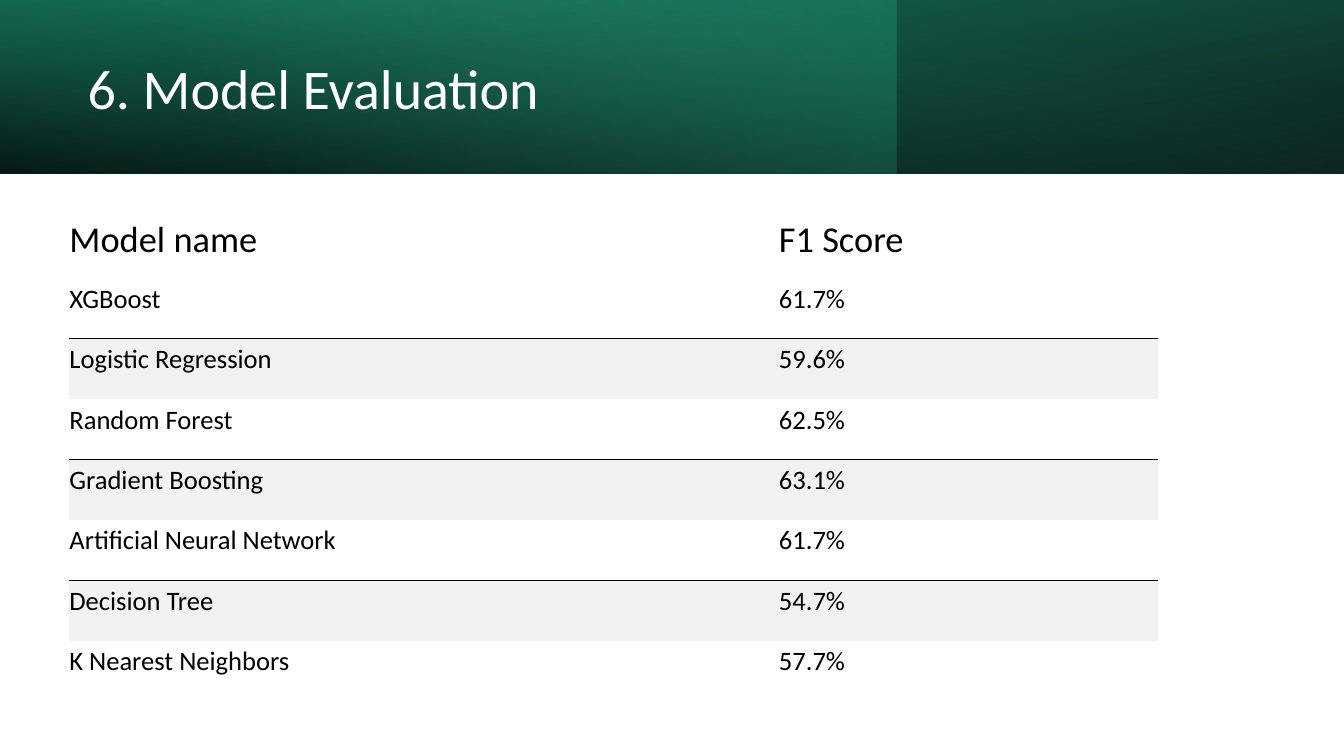
from pptx import Presentation
from pptx.dml.color import RGBColor
from pptx.enum.shapes import MSO_SHAPE
from pptx.enum.text import MSO_ANCHOR
from pptx.oxml import parse_xml
from pptx.oxml.ns import nsdecls
from pptx.util import Cm, Pt

COLORS = {"black": "000000", "white": "FFFFFF", "band": "F2F2F2",
          "deep": "16745A", "green": "1D9A78", "mint": "5AE0BB"}
WIDTH, HEIGHT, BANNER_HEIGHT = 33.87, 19.05, 4.37
SCORES = [("Model name", "F1 Score"),
          ("XGBoost", "61.7%"),
          ("Logistic Regression", "59.6%"),
          ("Random Forest", "62.5%"),
          ("Gradient Boosting", "63.1%"),
          ("Artificial Neural Network", "61.7%"),
          ("Decision Tree", "54.7%"),
          ("K Nearest Neighbors", "57.7%")]


def set_all(target, values):
    for name, value in values.items():
        setattr(target, name, value)


class Deck:
    font = "Calibri"

    def __init__(self):
        self.prs = Presentation()
        set_all(self.prs, {"slide_width": Cm(WIDTH), "slide_height": Cm(HEIGHT)})
        self.s = self.prs.slides.add_slide(self.prs.slide_layouts[6])

    def add_text(self, tf, text, size, color, **spacing):
        p = tf.paragraphs[0]
        set_all(p, spacing)
        r = p.add_run()
        r.text = text
        set_all(r.font, {"name": self.font, "size": Pt(size), "bold": False})
        r.font.color.rgb = RGBColor.from_string(COLORS[color])

    def gradient(self, width, stops, angle, rotation=0, flip=False):
        """Add a banner layer; stops are (position %, colour, opacity %)."""
        sp = self.s.shapes.add_shape(MSO_SHAPE.RECTANGLE, 0, 0, Cm(width), Cm(BANNER_HEIGHT))
        sp.shadow.inherit = False
        sp.line.fill.background()
        sp.fill.background()
        sp.rotation = rotation
        spPr = sp.element.spPr
        if flip:
            spPr.xfrm.set("flipH", "1")
        stop_xml = "".join(
            f'<a:gs pos="{pos * 1000}"><a:srgbClr val="{COLORS[color]}">'
            f'<a:alpha val="{opacity * 1000}"/></a:srgbClr></a:gs>'
            for pos, color, opacity in stops)
        fill = parse_xml(
            f'<a:gradFill {nsdecls("a")} rotWithShape="1"><a:gsLst>{stop_xml}</a:gsLst>'
            f'<a:lin ang="{angle * 60000}" scaled="0"/></a:gradFill>')
        no_fill = spPr.find("{http://schemas.openxmlformats.org/drawingml/2006/main}noFill")
        spPr.replace(no_fill, fill)

    def title(self, text, left, top, width, height):
        tf = self.s.shapes.add_textbox(Cm(left), Cm(top), Cm(width), Cm(height)).text_frame
        set_all(tf, {"word_wrap": True, "vertical_anchor": MSO_ANCHOR.MIDDLE})
        self.add_text(tf, text, 40, "white", line_spacing=0.9)

    def borders(self, cell, ruled):
        """Rule the given sides (T, B) and clear the others."""
        tcPr = cell._tc.get_or_add_tcPr()
        for i, side in enumerate("LRTB"):
            line = (f'<a:solidFill><a:srgbClr val="{COLORS["black"]}"/></a:solidFill>'
                    if side in ruled else "<a:noFill/>")
            tcPr.insert(i, parse_xml(f'<a:ln{side} {nsdecls("a")} w="9525">{line}</a:ln{side}>'))

    def table(self, rows, left, top, col_widths, header_height, row_height):
        heights = [header_height] + [row_height] * (len(rows) - 1)
        tbl = self.s.shapes.add_table(len(rows), len(col_widths), Cm(left), Cm(top),
                                      Cm(sum(col_widths)), Cm(sum(heights))).table
        set_all(tbl, {"first_row": False, "horz_banding": False})
        for col, width in zip(tbl.columns, col_widths):
            col.width = Cm(width)
        for i, (row, height, texts) in enumerate(zip(tbl.rows, heights, rows)):
            row.height = Cm(height)
            header = i == 0
            banded = i % 2 == 0 and not header
            above_band = i % 2 == 1 and i < len(rows) - 1
            for cell, text in zip(row.cells, texts):
                set_all(cell, {
                    "margin_left": 0, "margin_right": Cm(0.4), "margin_bottom": Cm(0.4),
                    "margin_top": Cm(0.08 if header else 0.12),
                    "vertical_anchor": MSO_ANCHOR.BOTTOM if header else MSO_ANCHOR.TOP})
                if banded:
                    cell.fill.solid()
                    cell.fill.fore_color.rgb = RGBColor.from_string(COLORS["band"])
                else:
                    cell.fill.background()
                self.borders(cell, "T" if banded else "B" if above_band else "")
                self.add_text(cell.text_frame, text, 26 if header else 19, "black")


def main():
    deck = Deck()
    deck.gradient(WIDTH, [(0, "black", 96), (100, "deep", 100)], 100, rotation=180, flip=True)
    deck.gradient(22.58, [(0, "green", 41), (74, "mint", 0)], 140)
    deck.gradient(WIDTH, [(0, "black", 63), (78, "green", 15)], 260, flip=True)
    deck.title("6. Model Evaluation", 1.96, 0.69, 19.6, 3.23)
    deck.table(SCORES, 1.75, 5.28, [17.88, 9.55], 1.74, 1.52)
    deck.prs.save("out.pptx")


if __name__ == "__main__":
    main()
